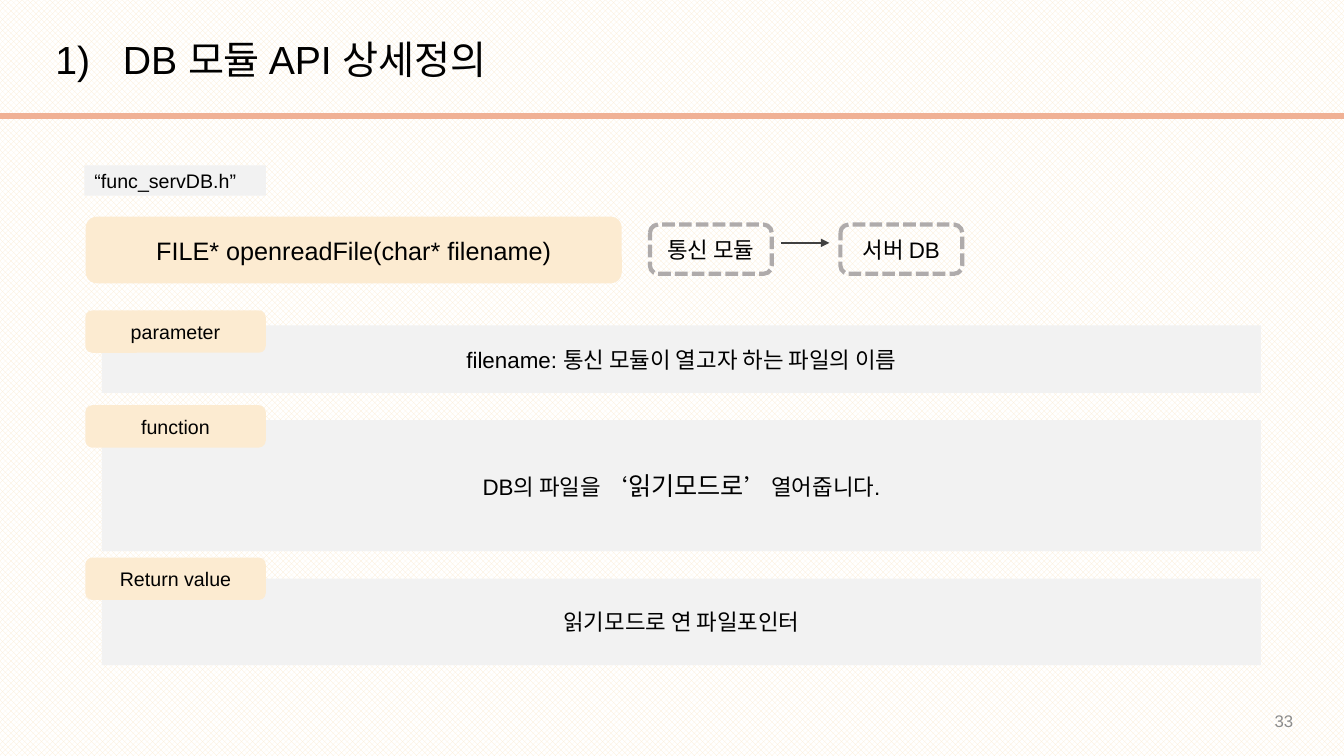
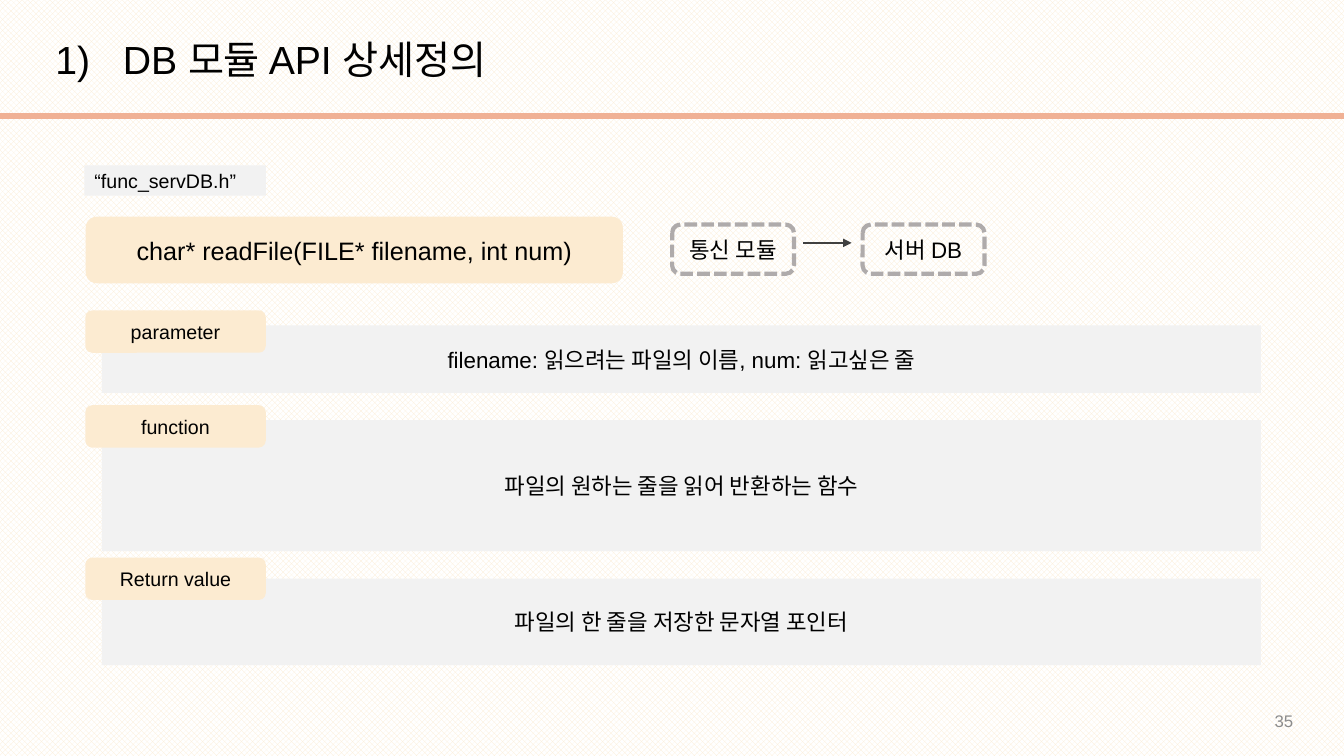
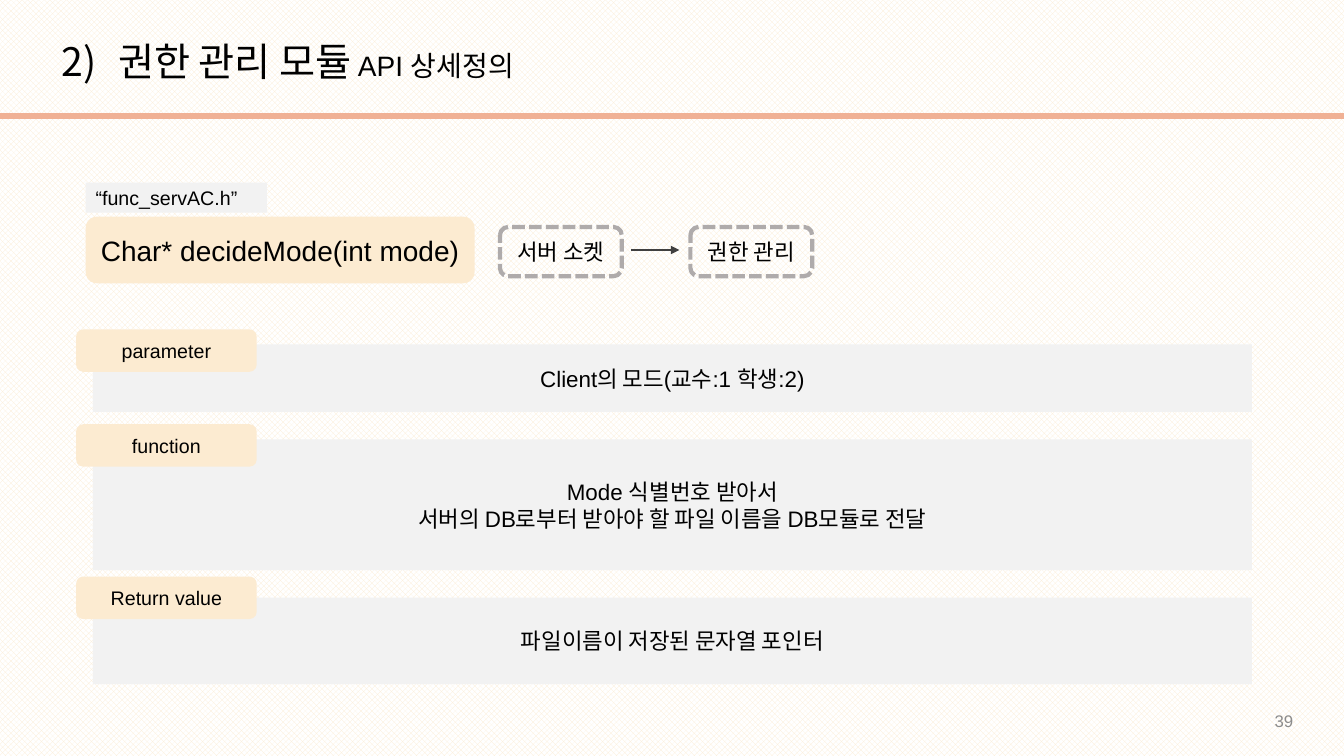
from dataclasses import dataclass

from lxml import etree
from pptx import Presentation
from pptx import util as u
from pptx.dml.color import RGBColor
from pptx.enum import dml, shapes, text
from pptx.oxml import ns


@dataclass(frozen=True)
class Theme:
    font: str = "Arial"
    ink: str = "000000"
    paper: str = "FFFFFF"
    cream: str = "FCEBD1"
    panel: str = "F2F2F2"
    rule: str = "F0B195"
    dash: str = "AFABAB"
    arrow: str = "404040"
    muted: str = "8C8C8C"
    title: int = 28
    large: int = 20
    signature: int = 18
    body: int = 16
    label: int = 14
    number: int = 12


THEME = Theme()
RECTANGLE = shapes.MSO_SHAPE.RECTANGLE
ROUNDED = shapes.MSO_SHAPE.ROUNDED_RECTANGLE
CENTER = text.PP_ALIGN.CENTER
LEFT = text.PP_ALIGN.LEFT
RIGHT = text.PP_ALIGN.RIGHT
SLIDE_WIDTH, SLIDE_HEIGHT = 33.87, 19.05
PANELS = (("parameter", 1.7, 0.38), ("function", 3.3, 0.38), ("Return value", 2.18, 0.53))
PANEL_GAP = 0.69

DATABASE = dict(
    title=(("DB 모듈 API 상세정의", THEME.title),),
    title_box=(1.14, 0.64, 29.21, 3.68), title_inset=0.38,
    title_indent=1.7, title_number=1,
    header="“func_servDB.h”", header_at=(2.13, 4.17),
    signature_size=THEME.signature,
    modules=("통신 모듈", "서버 DB"), arrow_top=6.12,
    panels_at=(2.57, 8.2),
)

PAGES = (
    dict(
        DATABASE,
        signature="FILE* openreadFile(char* filename)", signature_width=13.51,
        modules_at=(16.38, 5.66),
        panels=(
            ("filename: 통신 모듈이 열고자 하는 파일의 이름",),
            ((("DB의 파일을 ‘", THEME.body), ("읽기모드로", THEME.signature),
              ("’ 열어줍니다.", THEME.body)),),
            ("읽기모드로 연 파일포인터",),
        ),
        number="33",
    ),
    dict(
        DATABASE,
        signature="char* readFile(FILE* filename, int num)", signature_width=13.54,
        modules_at=(16.94, 5.66),
        panels=(
            ("filename: 읽으려는 파일의 이름, num: 읽고싶은 줄",),
            ("파일의 원하는 줄을 읽어 반환하는 함수",),
            ("파일의 한 줄을 저장한 문자열 포인터",),
        ),
        number="35",
    ),
    dict(
        title=(("권한 관리 모듈", THEME.title), (" API 상세정의", THEME.large)),
        title_box=(1.3, 0.94, 31.29, 3.63), title_inset=0.13,
        title_indent=1.42, title_number=2,
        header="“func_servAC.h”", header_at=(2.16, 4.6),
        signature="Char* decideMode(int mode)",
        signature_width=9.8, signature_size=THEME.large,
        modules=("서버 소켓", "권한 관리"), modules_at=(12.6, 5.72), arrow_top=6.3,
        panels_at=(2.34, 8.68),
        panels=(
            ("Client의 모드(교수:1 학생:2)",),
            ("Mode 식별번호 받아서", "서버의 DB로부터 받아야 할 파일 이름을 DB모듈로 전달"),
            ("파일이름이 저장된 문자열 포인터",),
        ),
        number="39",
    ),
)


def color(value):
    return RGBColor.from_string(value)


def lengths(*values):
    return [u.Cm(value) for value in values]


def add_runs(paragraph, runs):
    for content, size in runs:
        run = paragraph.add_run()
        run.text = content
        run.font.size = u.Pt(size)


def write(shape, lines, size, align=CENTER, ink=THEME.ink):
    frame = shape.text_frame
    frame.word_wrap = True
    frame.vertical_anchor = text.MSO_ANCHOR.MIDDLE
    for index, line in enumerate(lines):
        paragraph = frame.paragraphs[0] if index == 0 else frame.add_paragraph()
        if isinstance(line, str):
            paragraph.text = line
            paragraph.font.size = u.Pt(size)
        else:
            add_runs(paragraph, line)
        paragraph.alignment = align
        paragraph.font.name = THEME.font
        paragraph.font.color.rgb = color(ink)


def add_box(slide, kind, box, lines, size, fill=None, align=CENTER):
    shape = slide.shapes.add_shape(kind, *lengths(*box))
    shape.shadow.inherit = False
    if fill:
        shape.fill.solid()
        shape.fill.fore_color.rgb = color(fill)
        shape.line.fill.background()
    else:
        shape.fill.background()
        shape.line.color.rgb = color(THEME.dash)
        shape.line.width = u.Pt(3)
        shape.line.dash_style = dml.MSO_LINE.SQUARE_DOT
    write(shape, lines, size, align)


def add_line(slide, left, right, top, ink, width, arrow=False):
    connector = slide.shapes.add_connector(
        shapes.MSO_CONNECTOR.STRAIGHT, *lengths(left, top, right, top))
    connector.line.color.rgb = color(ink)
    connector.line.width = u.Pt(width)
    properties = connector._element.spPr
    if arrow:
        etree.SubElement(properties.find(ns.qn("a:ln")), ns.qn("a:tailEnd"), type="triangle")
    etree.SubElement(properties, ns.qn("a:effectLst"))


def add_title(slide, page):
    title = slide.shapes.title
    title.left, title.top, title.width, title.height = lengths(*page["title_box"])
    frame = title.text_frame
    frame.word_wrap = True
    frame.auto_size = text.MSO_AUTO_SIZE.NONE
    frame.vertical_anchor = text.MSO_ANCHOR.TOP
    frame.margin_top = u.Cm(page["title_inset"])
    paragraph = frame.paragraphs[0]
    add_runs(paragraph, page["title"])
    paragraph.alignment = LEFT
    paragraph.line_spacing = 0.9
    properties = paragraph._p.get_or_add_pPr()
    indent = u.Cm(page["title_indent"])
    properties.set("marL", str(int(indent)))
    properties.set("indent", str(-int(indent)))
    etree.SubElement(properties, ns.qn("a:buFont"), typeface=THEME.font)
    etree.SubElement(properties, ns.qn("a:buAutoNum"), type="arabicParenR",
                     startAt=str(page["title_number"]))
    paragraph.font.name = THEME.font
    paragraph.font.color.rgb = color(THEME.ink)


def add_modules(slide, page):
    left, top = page["modules_at"]
    for index, name in enumerate(page["modules"]):
        add_box(slide, ROUNDED, (left + 4.8 * index, top, 3.07, 1.24), [name], THEME.body)
    add_line(slide, left + 3.3, left + 4.52, page["arrow_top"], THEME.arrow, 1.5, arrow=True)


def add_panels(slide, page):
    left, top = page["panels_at"]
    for (label, height, rise), lines in zip(PANELS, page["panels"]):
        add_box(slide, RECTANGLE, (left, top, 29.21, height), lines, THEME.body, THEME.panel)
        add_box(slide, ROUNDED, (left - 0.42, top - rise, 4.55, 1.07), [label],
                THEME.label, THEME.cream)
        top += height + PANEL_GAP


def add_page(presentation, page):
    slide = presentation.slides.add_slide(presentation.slide_layouts.get_by_name("Title Only"))
    add_title(slide, page)
    add_line(slide, 0, SLIDE_WIDTH, 2.92, THEME.rule, 4)
    add_box(slide, RECTANGLE, (*page["header_at"], 4.57, 0.76), [page["header"]],
            THEME.label, THEME.panel, LEFT)
    add_box(slide, ROUNDED, (2.16, 5.46, page["signature_width"], 1.68),
            [page["signature"]], page["signature_size"], THEME.cream)
    add_modules(slide, page)
    add_panels(slide, page)
    number = slide.shapes.add_textbox(*lengths(25.22, 17.65, 7.62, 1.02))
    write(number, [page["number"]], THEME.number, RIGHT, THEME.muted)


def set_background(master):
    fill = master.background.fill
    fill.patterned()
    fill.pattern = dml.MSO_PATTERN.OUTLINED_DIAMOND
    fill.fore_color.rgb = color(THEME.cream)
    fill.back_color.rgb = color(THEME.paper)


def main():
    presentation = Presentation()
    presentation.slide_width, presentation.slide_height = lengths(SLIDE_WIDTH, SLIDE_HEIGHT)
    set_background(presentation.slide_master)
    for page in PAGES:
        add_page(presentation, page)
    presentation.save("out.pptx")


if __name__ == "__main__":
    main()
